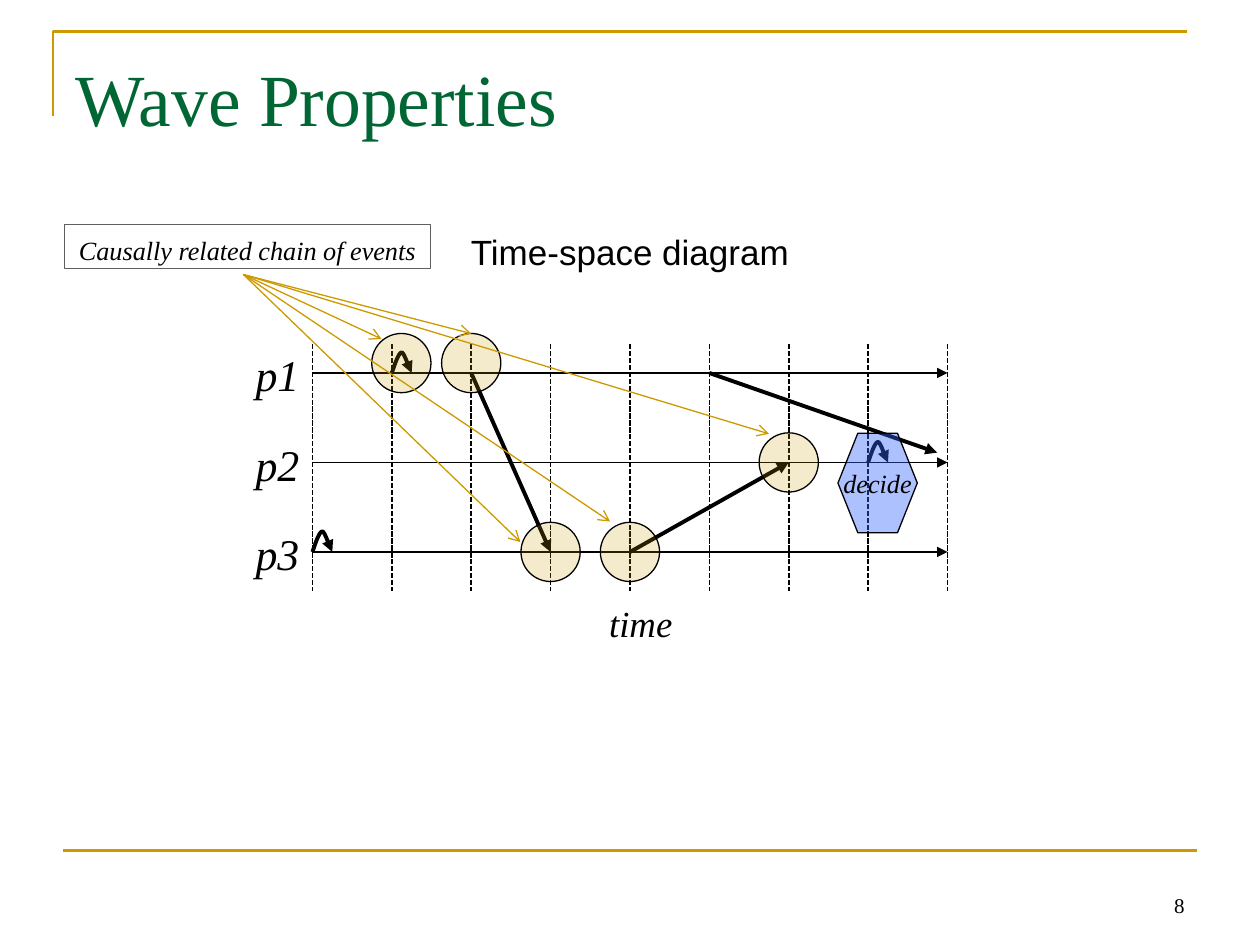
from lxml import etree
from pptx import Presentation, util as u
from pptx.dml.color import RGBColor
from pptx.enum import dml, shapes, text
from pptx.oxml import ns

color = RGBColor.from_string
BLACK, GOLD, GREEN, BLUE, GRAY = "000000", "CC9900", "006633", "3366FF", "5F5F5F"
SERIF = "Times New Roman"
LEFT, CENTER, RIGHT = text.PP_ALIGN.LEFT, text.PP_ALIGN.CENTER, text.PP_ALIGN.RIGHT

deck = Presentation()
deck.slide_width, deck.slide_height = u.Inches(10), u.Inches(7.5)
page = deck.slides.add_slide(deck.slide_layouts[6])
wide, tall = deck.slide_width / 100, deck.slide_height / 100
left, column = 24.8 * wide, 6.3 * wide
top, row = 39.47 * tall, 9.47 * tall


def draw(x1, y1, x2, y2, ink=BLACK, width=0.75, arrow=None):
    line = page.shapes.add_connector(
        shapes.MSO_CONNECTOR.STRAIGHT, *(round(value) for value in (x1, y1, x2, y2)))
    line.line.color.rgb = color(ink)
    line.line.width = u.Pt(width)
    properties = line.element.spPr
    if arrow:
        etree.SubElement(properties.find(ns.qn("a:ln")), ns.qn("a:tailEnd"), type=arrow)
    etree.SubElement(properties, ns.qn("a:effectLst"))
    return line


def write(words, x, y, width, height, size, face=SERIF, ink=BLACK, align=LEFT,
          italic=True, inset=0.08):
    box = page.shapes.add_textbox(
        round(x), round(y), round(width), round(height))
    frame = box.text_frame
    frame.word_wrap = True
    frame.margin_top = u.Inches(inset)
    para = frame.paragraphs[0]
    para.text = words
    para.alignment = align
    para.font.name, para.font.size, para.font.italic = face, u.Pt(size), italic
    para.font.color.rgb = color(ink)
    return box


pen = page.shapes.build_freeform(round(4.2 * wide), round(12.27 * tall))
pen.add_line_segments([(round(4.2 * wide), round(3.33 * tall)),
                       (round(94.2 * wide), round(3.33 * tall))], close=False)
corner = pen.convert_to_shape()
corner.shadow.inherit = False
corner.fill.background()
corner.line.color.rgb = color(GOLD)
corner.line.width = u.Pt(1.5)

draw(5 * wide, 90 * tall, 95 * wide, 90 * tall, GOLD, 1.5)
number = write("8", 71.7 * wide, 91.07 * tall, 23.3 * wide, 6.67 * tall, 12,
               align=RIGHT, italic=False)
number.text_frame.vertical_anchor = text.MSO_ANCHOR.BOTTOM
write("Wave Properties", 5 * wide, 4 * tall, 90 * wide, 16.67 * tall, 42,
      ink=GREEN, italic=False, inset=0.12)
write("Time-space diagram", 5 * wide, 23.33 * tall, 90 * wide, 66 * tall, 20,
      face="Arial", align=CENTER, italic=False)

for index, process in enumerate(("p1", "p2", "p3")):
    y = top + index * row
    draw(left, y, left + 8 * column, y, arrow="triangle")
    write(process, 19.3 * wide, y - 3.73 * tall, 7.9 * wide, 6.93 * tall, 25)
for index in range(9):
    x = left + index * column
    tick = draw(x, 36.4 * tall, x, 62.53 * tall, width=1)
    tick.line.dash_style = dml.MSO_LINE.SQUARE_DOT
write("time", 41.4 * wide, 62.53 * tall, 18.9 * wide, 6 * tall, 21, align=CENTER)

for c1, r1, c2, r2 in ((5, 0, 7.87, 0.89), (2, 0, 3, 2), (4, 2, 6, 1)):
    draw(left + c1 * column, top + r1 * row, left + c2 * column, top + r2 * row,
         width=2.25, arrow="triangle")

curves = (((0, 0), (0.06, 0.12), (0.31, 1), (0.5, 1)),
          ((0.5, 1), (0.63, 1), (0.88, 0.18), (1, 0)))
for c, r in ((0, 2), (1, 0), (7, 1)):
    x, y = left + c * column, top + r * row
    points = []
    for curve in curves:
        for step in range(1, 9):
            t = step / 8
            weights = ((1 - t) ** 3, 3 * t * (1 - t) ** 2, 3 * t * t * (1 - t), t ** 3)
            across, up = (sum(weight * point[axis] for weight, point in zip(weights, curve))
                          for axis in (0, 1))
            points.append((round(x + across * column / 4), round(y - up * row * 0.23)))
    pen = page.shapes.build_freeform(round(x), round(y))
    pen.add_line_segments(points, close=False)
    hop = pen.convert_to_shape()
    hop.shadow.inherit = False
    hop.fill.background()
    hop.line.color.rgb = color(BLACK)
    hop.line.width = u.Pt(2.25)
    etree.SubElement(hop.element.spPr.find(ns.qn("a:ln")), ns.qn("a:tailEnd"), type="triangle")

circle, hexagon = shapes.MSO_SHAPE.OVAL, shapes.MSO_SHAPE.HEXAGON
events = [(hexagon, 7.12, 1.23, 6.3, 10.53, BLUE, 40000, "decide")]
events += [(circle, c, r, 4.7, 6.27, GOLD, 20000, "")
           for c, r in ((1.12, -0.11), (3, 2), (4, 2), (6, 1), (2, -0.11))]
for kind, c, r, width, height, ink, alpha, words in events:
    event = page.shapes.add_shape(
        kind, round(left + c * column - width * wide / 2),
        round(top + r * row - height * tall / 2), round(width * wide), round(height * tall))
    event.shadow.inherit = False
    event.fill.solid()
    event.fill.fore_color.rgb = color(ink)
    tint = event.element.spPr.find(ns.qn("a:solidFill")).find(ns.qn("a:srgbClr"))
    etree.SubElement(tint, ns.qn("a:alpha"), val=str(alpha))
    event.line.color.rgb = color(BLACK)
    event.line.width = u.Pt(0.75)
    if words:
        event.text_frame.word_wrap = False
        para = event.text_frame.paragraphs[0]
        para.text = words
        para.alignment = CENTER
        para.font.name, para.font.size, para.font.italic = SERIF, u.Pt(15), True
        para.font.color.rgb = color(BLACK)

callout = write("Causally related chain of events", 5.1 * wide, 23.73 * tall,
                29.1 * wide, 4.67 * tall, 15, align=CENTER)
callout.line.color.rgb = color(GRAY)
callout.line.width = u.Pt(0.75)
for c, r in ((0.87, -0.38), (2, -0.44), (2.62, 1.89), (3.75, 1.66), (5.75, 0.68)):
    draw(left - 0.87 * column, top - 1.1 * row, left + c * column, top + r * row,
         GOLD, arrow="arrow")

deck.save("out.pptx")
